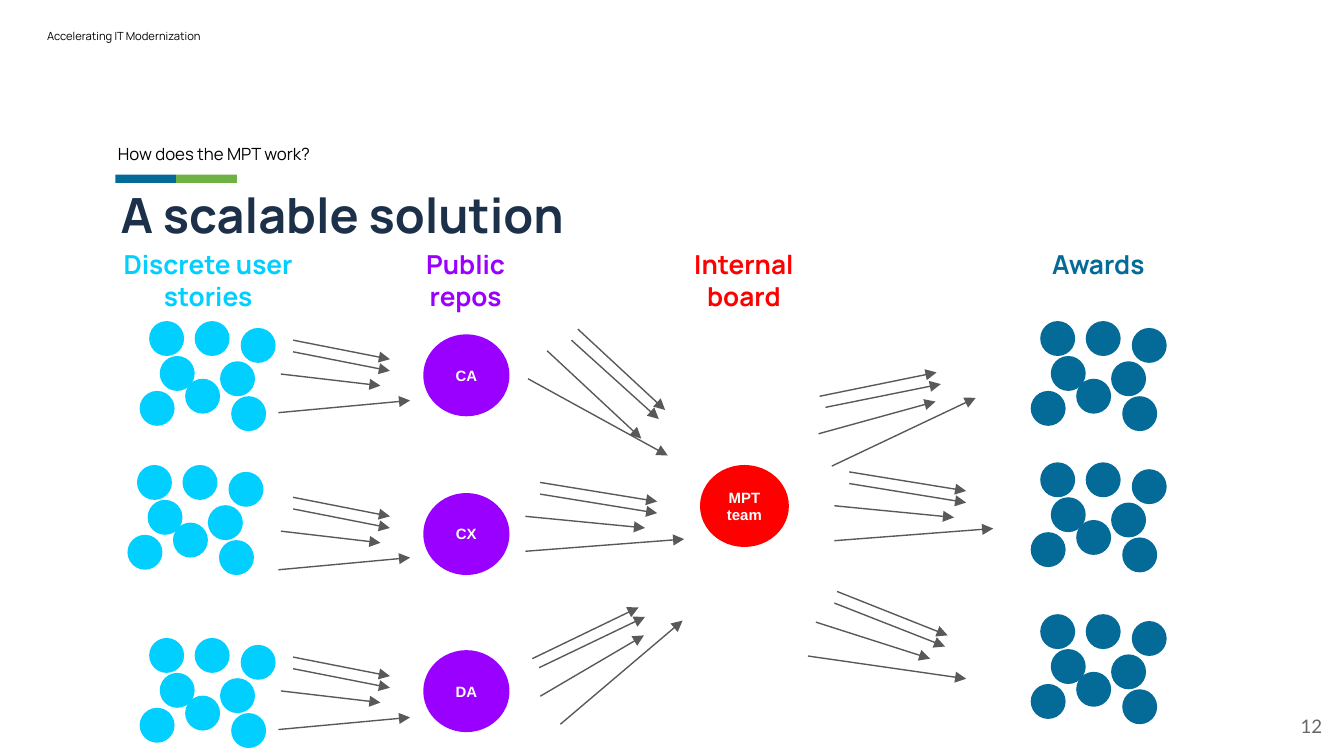
from lxml import etree
from pptx import Presentation
from pptx.dml.color import RGBColor
from pptx.enum.shapes import MSO_CONNECTOR, MSO_SHAPE
from pptx.enum.text import MSO_ANCHOR, PP_ALIGN
from pptx.oxml.ns import qn
from pptx.util import Cm, Pt

RECT, OVAL = MSO_SHAPE.RECTANGLE, MSO_SHAPE.OVAL
STRAIGHT = MSO_CONNECTOR.STRAIGHT
TOP, MIDDLE = MSO_ANCHOR.TOP, MSO_ANCHOR.MIDDLE
LEFT, CENTER, RIGHT = PP_ALIGN.LEFT, PP_ALIGN.CENTER, PP_ALIGN.RIGHT

BLACK = RGBColor(0x00, 0x00, 0x00)
WHITE = RGBColor(0xFF, 0xFF, 0xFF)
NAVY = RGBColor(0x1C, 0x30, 0x4A)
BLUE = RGBColor(0x04, 0x6B, 0x99)
GREEN = RGBColor(0x6E, 0xB1, 0x44)
CYAN = RGBColor(0x00, 0xCF, 0xFF)
PURPLE = RGBColor(0x99, 0x00, 0xFF)
RED = RGBColor(0xFF, 0x00, 0x00)
GRAY = RGBColor(0x66, 0x66, 0x66)
ARROW_GRAY = RGBColor(0x59, 0x59, 0x59)

TITLE = "A scalable solution"
LABELS = [
    ("Accelerating IT Modernization", (0.64, 0.23, 3.86, 0.89),
     dict(size=6, color=BLACK)),
    ("How does the MPT work?", (1.98, 2.4, 5.51, 1.02),
     dict(size=9, color=BLACK)),
    ("12", (23.72, 13.18, 1.52, 1.09),
     dict(size=10, color=GRAY, font="Lato", align=RIGHT)),
]
HEADINGS = [
    ("Discrete user stories", 1.98, 3.91, CYAN),
    ("Public repos", 7.29, 3.02, PURPLE),
    ("Internal board", 12.55, 3.02, RED),
    ("Awards", 19.25, 3.02, BLUE),
]
ACCENTS = [(2.18, BLUE), (3.33, GREEN)]
HUBS = [
    ("CA", 8, 6.32, 1.63, PURPLE),
    ("CX", 8, 9.32, 1.63, PURPLE),
    ("DA", 8, 12.29, 1.63, PURPLE),
    ("MPT team", 13.23, 8.79, 1.68, RED),
]
DOT = 0.66
DOTS = [(0.18, 0), (0.38, 0.66), (1.04, 0), (1.52, 0.76),
        (0, 1.32), (0.86, 1.09), (1.73, 1.42), (1.91, 0.13)]
CLUSTERS = [
    (2.64, 6.07, CYAN), (2.41, 8.79, CYAN), (2.64, 12.06, CYAN),
    (19.48, 6.07, BLUE), (19.48, 8.74, BLUE), (19.48, 11.61, BLUE),
]
STORY_ARROWS = [(0.28, 0, 2.11, 0.36), (0.28, 0.22, 2.11, 0.58),
                (0, 1.37, 2.49, 1.14), (0.05, 0.64, 1.93, 0.86)]
LEVEL_ARROWS = [(0.28, 0, 2.49, 0.36), (0.28, 0.22, 2.49, 0.58),
                (0, 1.3, 3, 1.07), (0, 0.64, 2.26, 0.86)]
CA_TO_TEAM = [(10.92, 6.22, 12.57, 7.75), (10.8, 6.43, 12.45, 7.92),
              (9.98, 7.16, 12.62, 8.61), (10.34, 6.63, 12.12, 8.29)]
DA_TO_TEAM = [(10.06, 12.45, 12.07, 11.48), (10.19, 12.62, 12.19, 11.66),
              (10.59, 13.69, 12.9, 11.73), (10.21, 13.16, 12.17, 12.01)]
TEAM_TO_TOP = [(15.49, 7.49, 17.7, 7.04), (15.6, 7.7, 17.78, 7.26),
               (15.72, 8.81, 18.44, 7.52), (15.47, 8.2, 17.68, 7.59)]
TEAM_TO_BOTTOM = [(15.82, 11.18, 17.91, 12.01), (15.77, 11.4, 17.86, 12.22),
                  (15.27, 12.4, 18.26, 12.83), (15.42, 11.76, 17.58, 12.45)]
ARROW_SETS = [
    (5.26, 6.43, STORY_ARROWS), (5.26, 9.4, STORY_ARROWS),
    (5.26, 12.42, STORY_ARROWS),
    (9.93, 9.12, LEVEL_ARROWS), (15.77, 8.92, LEVEL_ARROWS),
    (0, 0, CA_TO_TEAM), (0, 0, DA_TO_TEAM),
    (0, 0, TEAM_TO_TOP), (0, 0, TEAM_TO_BOTTOM),
]


def write(sp, text, size, color, font="Manrope", bold=False, align=LEFT, anchor=MIDDLE):
    tf = sp.text_frame
    tf.word_wrap = True
    tf.vertical_anchor = anchor
    tf.margin_left = tf.margin_right = tf.margin_top = tf.margin_bottom = Cm(0.25)
    p = tf.paragraphs[0]
    p.alignment = align
    r = p.add_run()
    r.text = text
    r.font.name, r.font.size, r.font.bold = font, Pt(size), bold
    r.font.color.rgb = color


def add_filled(shapes, kind, x, y, w, h, color):
    sp = shapes.add_shape(kind, Cm(x), Cm(y), Cm(w), Cm(h))
    sp.shadow.inherit = False
    sp.fill.solid()
    sp.fill.fore_color.rgb = color
    sp.line.fill.background()
    return sp


def add_arrow(shapes, x1, y1, x2, y2):
    line = shapes.add_connector(STRAIGHT, Cm(x1), Cm(y1), Cm(x2), Cm(y2))
    line.line.color.rgb = ARROW_GRAY
    line.line.width = Pt(0.75)
    etree.SubElement(line.line._get_or_add_ln(), qn("a:tailEnd"), type="triangle")
    etree.SubElement(line._element.spPr, qn("a:effectLst"))


prs = Presentation()
prs.slide_width, prs.slide_height = Cm(25.4), Cm(14.29)
s = prs.slides.add_slide(prs.slide_layouts[5])

title = s.shapes.title
title.left, title.top, title.width, title.height = Cm(2.03), Cm(3.25), Cm(21.41), Cm(1.73)
write(title, TITLE, size=26, color=NAVY, bold=True, anchor=TOP)

for x, color in ACCENTS:
    add_filled(s.shapes, RECT, x, 3.3, 1.15, 0.16, color)

for text, box, style in LABELS:
    write(s.shapes.add_textbox(*map(Cm, box)), text, **style)

for text, x, w, color in HEADINGS:
    sp = s.shapes.add_textbox(Cm(x), Cm(4.45), Cm(w), Cm(1.6))
    write(sp, text, size=14, color=color, bold=True, align=CENTER, anchor=TOP)

for text, x, y, w, color in HUBS:
    sp = add_filled(s.shapes, OVAL, x, y, w, 1.55, color)
    write(sp, text, size=8, color=WHITE, font="Arial", bold=True, align=CENTER)

for x, y, color in CLUSTERS:
    cluster = s.shapes.add_group_shape()
    for dx, dy in DOTS:
        add_filled(cluster.shapes, OVAL, x + dx, y + dy, DOT, DOT, color)

for x, y, arrows in ARROW_SETS:
    group = s.shapes.add_group_shape()
    for x1, y1, x2, y2 in arrows:
        add_arrow(group.shapes, x + x1, y + y1, x + x2, y + y2)

prs.save("out.pptx")
